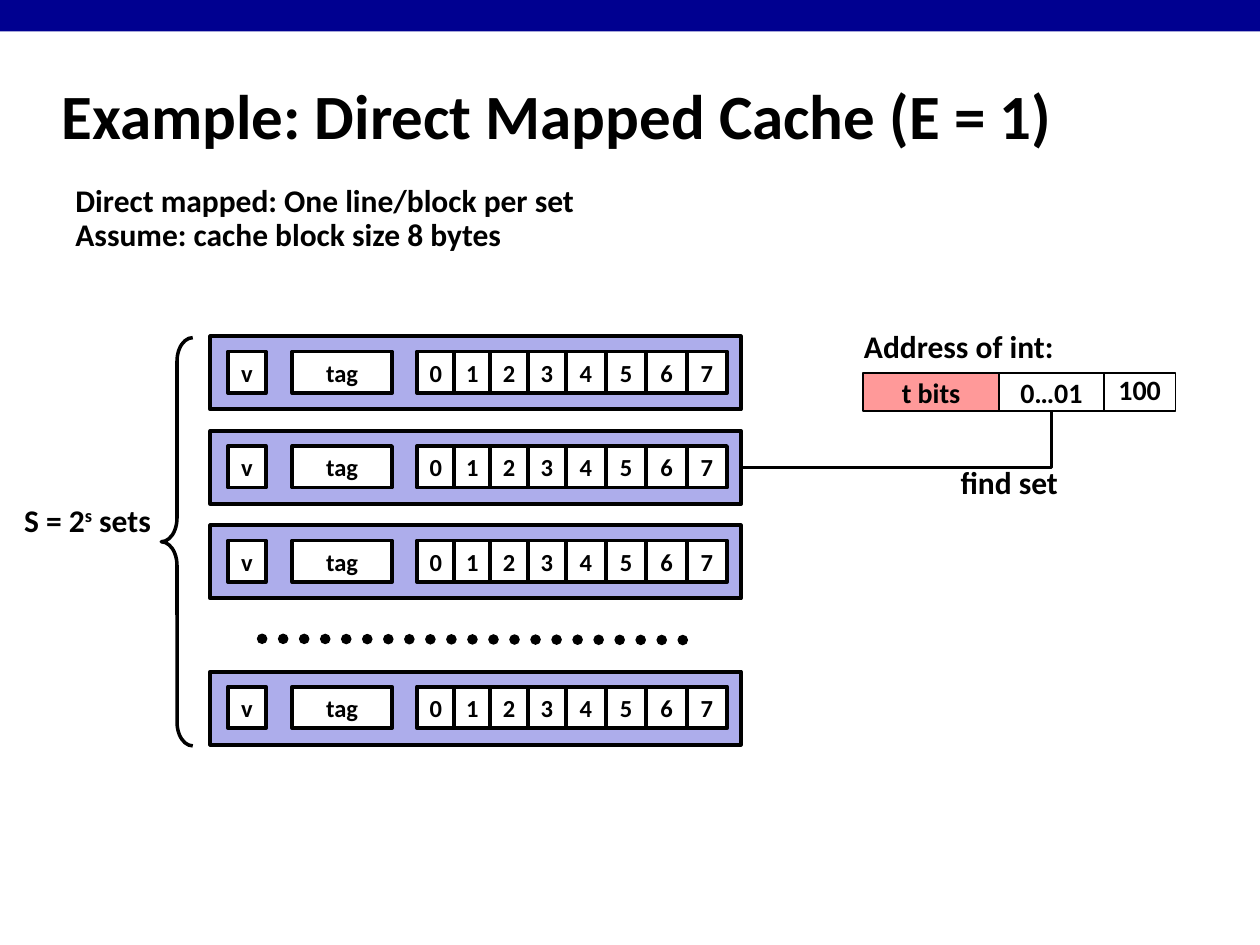
"""Build the slide that shows a direct mapped cache and an address lookup."""
import pptx
import pptx.dml.color
import pptx.enum.dml
import pptx.enum.shapes
import pptx.enum.text
import pptx.util
from pptx.oxml.ns import qn

Inches = pptx.util.Inches
RGBColor = pptx.dml.color.RGBColor
MSO_SHAPE = pptx.enum.shapes.MSO_SHAPE
MSO_CONNECTOR = pptx.enum.shapes.MSO_CONNECTOR
MSO_ANCHOR = pptx.enum.text.MSO_ANCHOR
PP_ALIGN = pptx.enum.text.PP_ALIGN

NAVY = RGBColor(0x00, 0x00, 0x90)
BLACK = RGBColor(0x00, 0x00, 0x00)
WHITE = RGBColor(0xFF, 0xFF, 0xFF)
PINK = RGBColor(0xFF, 0x99, 0x99)
LAVENDER = RGBColor(0xAD, 0xAD, 0xEB)

SUPERSCRIPT = "^"


class CacheSlide:
    """Holds the style and the current slide."""

    font = {"name": "Calibri", "bold": True}
    label_frame = {"word_wrap": False,
                   "auto_size": pptx.enum.text.MSO_AUTO_SIZE.SHAPE_TO_FIT_TEXT}
    cell_frame = {"vertical_anchor": MSO_ANCHOR.MIDDLE, "word_wrap": True}
    tight_frame = {**cell_frame, "margin_left": 0, "margin_right": 0,
                   "margin_top": 0, "margin_bottom": 0}

    def __init__(self, slide):
        self.slide = slide

    def apply(self, target, values):
        for name, value in values.items():
            setattr(target, name, value)

    def fill_text(self, frame, lines, size, frame_format, paragraph_format):
        self.apply(frame, frame_format)
        for index, line in enumerate(lines):
            paragraph = frame.add_paragraph() if index else frame.paragraphs[0]
            self.apply(paragraph, paragraph_format)
            for position, part in enumerate(line.split(SUPERSCRIPT)):
                run = paragraph.add_run()
                run.text = part
                self.apply(run.font, {**self.font, "size": pptx.util.Pt(size)})
                run.font.color.rgb = BLACK
                if position % 2:
                    run.font._element.set("baseline", "30000")

    def label(self, box, lines, size=18, align=PP_ALIGN.CENTER, spacing=0.9,
              frame_format=label_frame):
        textbox = self.slide.shapes.add_textbox(*map(Inches, box))
        self.fill_text(textbox.text_frame, lines, size, frame_format,
                       {"alignment": align, "line_spacing": spacing})

    def outline(self, line, width):
        line.color.rgb = BLACK
        line.width = pptx.util.Pt(width)

    def shape(self, box, fill=None, width=None, kind=MSO_SHAPE.RECTANGLE, parent=None):
        shape = (parent or self.slide).shapes.add_shape(kind, *map(Inches, box))
        shape.shadow.inherit = False
        if fill is None:
            shape.fill.background()
        else:
            shape.fill.solid()
            shape.fill.fore_color.rgb = fill
        if width is None:
            shape.line.fill.background()
        else:
            self.outline(shape.line, width)
        return shape

    def cell(self, box, text, size, fill=WHITE, width=2.25, parent=None,
             frame_format=tight_frame, spacing=1.0):
        cell = self.shape(box, fill, width, parent=parent)
        self.fill_text(cell.text_frame, [text], size, frame_format,
                       {"alignment": PP_ALIGN.CENTER, "line_spacing": spacing})
        return cell

    def connector(self, kind, start, end, width):
        connector = self.slide.shapes.add_connector(kind, *map(Inches, start + end))
        self.outline(connector.line, width)
        properties = connector._element.spPr
        properties.append(properties.makeelement(qn("a:effectLst"), {}))
        return connector

    def cache_set(self, top):
        group = self.slide.shapes.add_group_shape()
        body = self.shape((1.67, top, 4.21, 0.58), LAVENDER, 2.25, parent=group)
        fields = [("v", 1.81, 0.3), ("tag", 2.32, 0.79)]
        fields += [(str(byte), 3.31 + 0.29 * byte + 0.01 * (byte == 3), 0.3) for byte in range(4)]
        fields += [(str(byte), 4.49 + 0.32 * (byte - 4), 0.32) for byte in range(4, 8)]
        for text, left, width in fields:
            self.cell((left, top + 0.12, width, 0.33), text, 14, parent=group)
        return body


presentation = pptx.Presentation()
presentation.slide_width = Inches(10)
presentation.slide_height = Inches(7.5)
cache = CacheSlide(presentation.slides.add_slide(presentation.slide_layouts[6]))

cache.shape((0, 0, 10, 0.25), NAVY)
cache.label((0.39, 0.49, 8.3, 0.83), ["Example: Direct Mapped Cache (E = 1)"], 36,
            PP_ALIGN.LEFT, 1.0, cache.cell_frame)
cache.label((0.5, 1.42, 4.19, 0.65),
            ["Direct mapped: One line/block per set", "Assume: cache block size 8 bytes"],
            align=PP_ALIGN.LEFT)

sets_brace = cache.shape((1.28, 2.68, 0.25, 3.24), width=2, kind=MSO_SHAPE.LEFT_BRACE)
sets_brace.adjustments[0] = 0.75
cache.label((0.08, 3.96, 1.23, 0.4), ["S = 2^s^ sets"])

more_sets = cache.connector(MSO_CONNECTOR.STRAIGHT, (2.08, 5.07), (5.5, 5.08), 6)
more_sets.line.dash_style = pptx.enum.dml.MSO_LINE.ROUND_DOT
more_sets.line._ln.set("cap", "rnd")

cache_sets = [cache.cache_set(top) for top in (2.67, 3.42, 4.17, 5.33)]

cache.label((6.75, 2.58, 1.72, 0.4), ["Address of int:"])
address_fields = [("t bits", 6.85, 1.08, PINK, 1.0), ("0…01", 7.93, 0.83, WHITE, 1.0),
                  ("100", 8.76, 0.57, WHITE, 0.9)]
tag_bits, set_index, block_offset = [
    cache.cell((left, 2.96, width, 0.3), text, 16, fill, 1,
               frame_format=cache.cell_frame, spacing=spacing)
    for text, left, width, fill, spacing in address_fields]

find_set = cache.connector(MSO_CONNECTOR.ELBOW, (5.88, 3.71), (8.35, 3.25), 2)
find_set._element.spPr.find(qn("a:prstGeom")).set("prst", "bentConnector2")
find_set.begin_connect(cache_sets[1], 3)
find_set.end_connect(set_index, 2)
cache.label((7.52, 3.66, 0.98, 0.37), ["find set"])

presentation.save("out.pptx")
